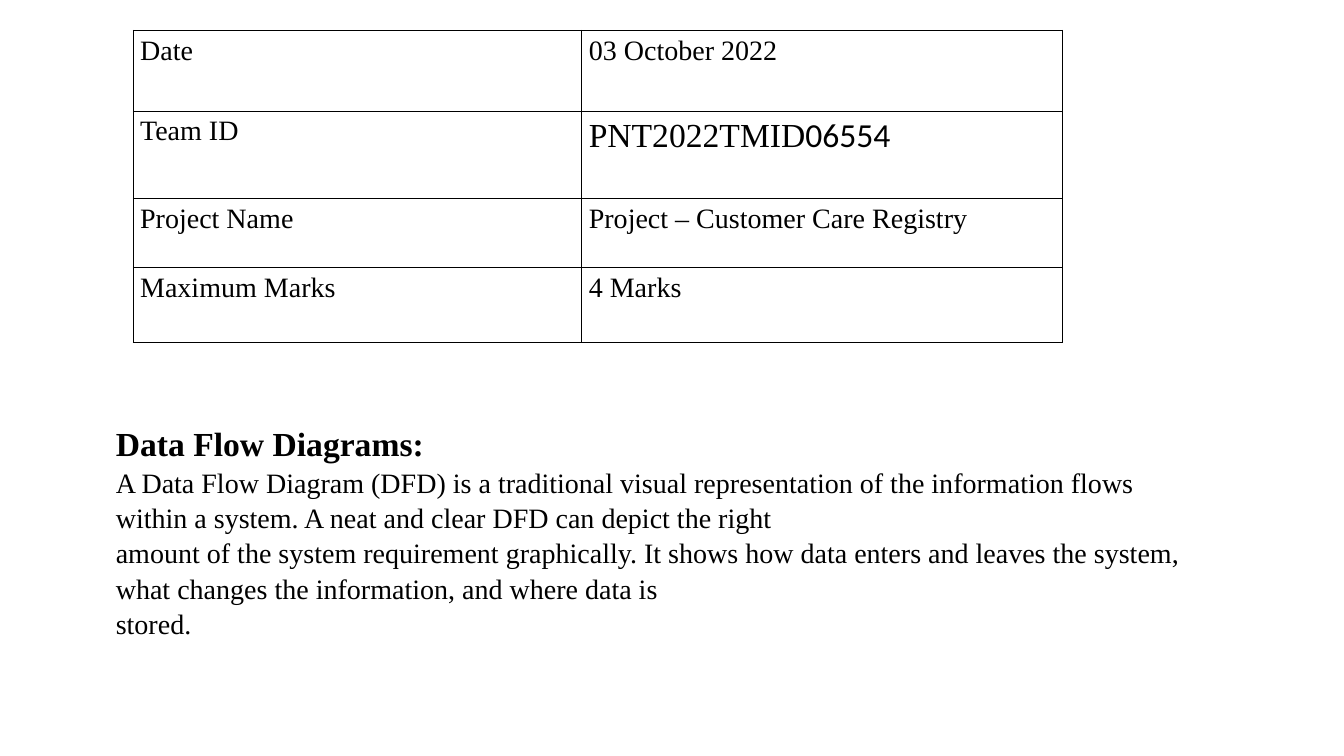
from lxml.etree import SubElement
from pptx import Presentation
from pptx.dml.color import RGBColor
from pptx.oxml.ns import qn
from pptx.util import Inches, Pt

COLORS = {"text": "000000", "border": "000000", "background": "FFFFFF"}
SERIF, SANS = "Times New Roman", "Calibri"

DETAILS = [
    ("Date", "03 October 2022"),
    ("Team ID", "PNT2022TMID"),
    ("Project Name", "Project – Customer Care Registry"),
    ("Maximum Marks", "4 Marks"),
]
COLUMN_WIDTHS = [4.45, 4.77]
ROW_HEIGHTS = [0.8, 0.87, 0.68, 0.75]
HEADING = "Data Flow Diagrams:"
DESCRIPTION = [
    "A Data Flow Diagram (DFD) is a traditional visual representation of the "
    "information flows within a system. A neat and clear DFD can depict the right",
    "amount of the system requirement graphically. It shows how data enters and "
    "leaves the system, what changes the information, and where data is",
    "stored.",
]


class SlideBuilder:
    def __init__(self, prs):
        self.slide = prs.slides.add_slide(prs.slide_layouts[6])
        fill = self.slide.background.fill
        fill.solid()
        fill.fore_color.rgb = RGBColor.from_string(COLORS["background"])

    def style(self, p, size=20, font=SERIF, bold=False):
        for r in p.runs:
            r.font.size = Pt(size)
            r.font.name = font
            r.font.bold = bold
            r.font.color.rgb = RGBColor.from_string(COLORS["text"])

    def border(self, cell, width=0.5):
        props = cell._tc.get_or_add_tcPr()
        for side in ("a:lnL", "a:lnR", "a:lnT", "a:lnB"):
            line = SubElement(props, qn(side), w=str(Pt(width)))
            fill = SubElement(line, qn("a:solidFill"))
            SubElement(fill, qn("a:srgbClr"), val=COLORS["border"])

    def table(self, rows, left, top, widths, heights):
        table = self.slide.shapes.add_table(
            len(rows), len(widths), Inches(left), Inches(top),
            Inches(sum(widths)), Inches(sum(heights))).table
        table.first_row = table.horz_banding = False
        for column, width in zip(table.columns, widths):
            column.width = Inches(width)
        for i, (row, height) in enumerate(zip(rows, heights)):
            table.rows[i].height = Inches(height)
            for j, text in enumerate(row):
                cell = table.cell(i, j)
                cell.margin_left = cell.margin_right = Inches(0.07)
                cell.margin_top = cell.margin_bottom = Inches(0.05)
                cell.text_frame.text = text
                self.style(cell.text_frame.paragraphs[0])
                self.border(cell)
                cell.fill.background()
        return table

    def text(self, heading, paragraphs, left, top, width, height):
        box = self.slide.shapes.add_textbox(
            Inches(left), Inches(top), Inches(width), Inches(height))
        tf = box.text_frame
        tf.word_wrap = True
        tf.text = "\n".join([heading, *paragraphs])
        title, *body = tf.paragraphs
        title.line_spacing = 1.5
        self.style(title, size=24, bold=True)
        for p in body:
            p.line_spacing = 1.05
            self.style(p)


def main():
    prs = Presentation()
    prs.slide_width, prs.slide_height = Inches(13.33), Inches(7.5)
    s = SlideBuilder(prs)
    table = s.table(DETAILS, 1.32, 0.3, COLUMN_WIDTHS, ROW_HEIGHTS)

    team_id = table.cell(1, 1).text_frame.paragraphs[0]
    s.style(team_id, size=24)
    number = team_id.add_run()
    number.text = "06554"
    number.font.size = Pt(24)
    number.font.name = SANS
    number.font.color.rgb = RGBColor.from_string(COLORS["text"])

    s.text(HEADING, DESCRIPTION, 1.05, 3.95, 10.95, 2.39)
    prs.save("out.pptx")


if __name__ == "__main__":
    main()
